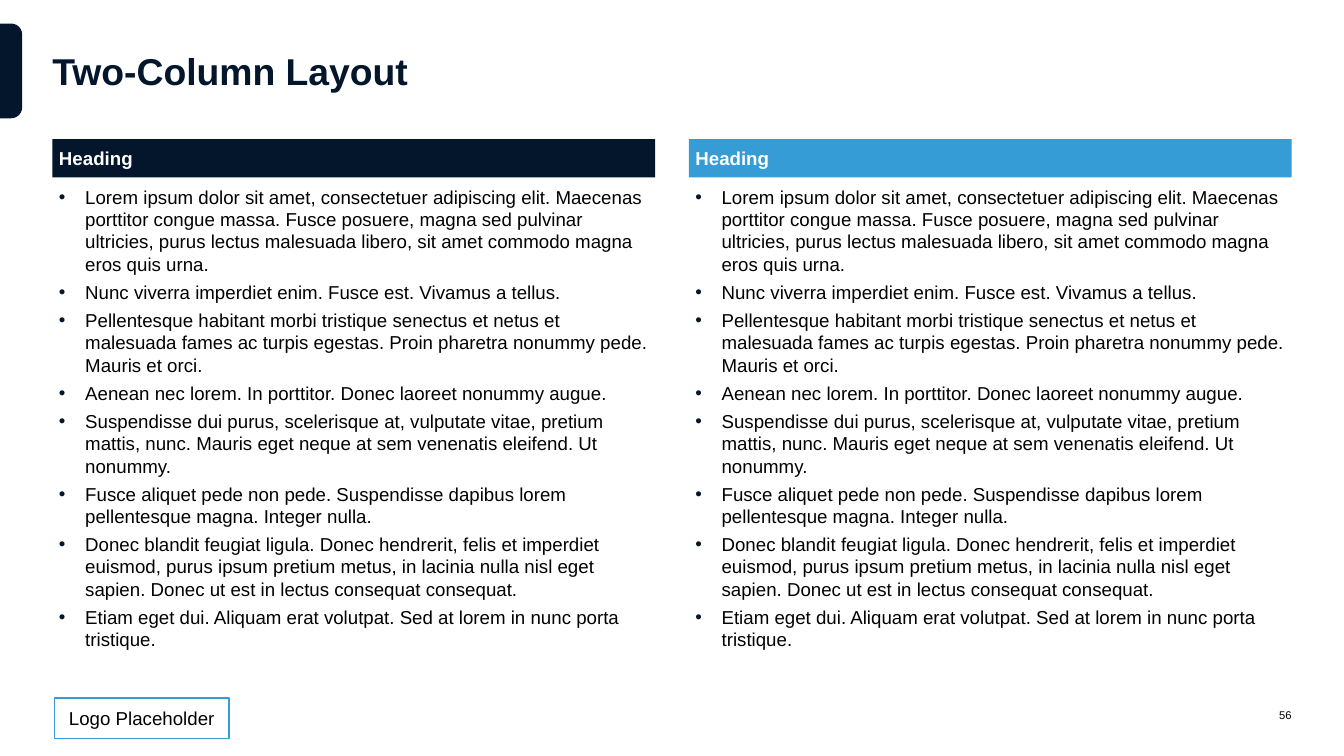
"""Build a two-column text slide with coloured headings and bulleted bodies."""
import dataclasses
import typing

import pptx
import pptx.dml.color
import pptx.enum.shapes
import pptx.enum.text
import pptx.oxml
import pptx.oxml.ns
import pptx.util

Inches = pptx.util.Inches
Pt = pptx.util.Pt
Shapes = pptx.enum.shapes.MSO_SHAPE
Align = pptx.enum.text.PP_ALIGN
Anchor = pptx.enum.text.MSO_ANCHOR


@dataclasses.dataclass(frozen=True)
class Theme:
    font: str = "Arial"
    navy: str = "04162B"
    blue: str = "359CD5"
    white: str = "FFFFFF"
    black: str = "000000"
    title_size: int = 40
    body_size: int = 20
    number_size: int = 12


class Box(typing.NamedTuple):
    left: float
    top: float
    width: float
    height: float

    def lengths(self) -> list:
        return [Inches(value) for value in self]


class Column(typing.NamedTuple):
    heading: str
    color: str
    bullets: tuple


THEME = Theme()
MARGIN = 0.78
COLUMN_WIDTH = 8.97
COLUMN_GAP = 0.5
HEADING_TOP = 2.07
HEADING_HEIGHT = 0.57
BODY_HEIGHT = 7.46
BULLET_INDENT = 0.39

BULLETS = (
    "Lorem ipsum dolor sit amet, consectetuer adipiscing elit. Maecenas porttitor congue massa. "
    "Fusce posuere, magna sed pulvinar ultricies, purus lectus malesuada libero, "
    "sit amet commodo magna eros quis urna.",
    "Nunc viverra imperdiet enim. Fusce est. Vivamus a tellus.",
    "Pellentesque habitant morbi tristique senectus et netus et malesuada fames ac turpis egestas. "
    "Proin pharetra nonummy pede. Mauris et orci.",
    "Aenean nec lorem. In porttitor. Donec laoreet nonummy augue.",
    "Suspendisse dui purus, scelerisque at, vulputate vitae, pretium mattis, nunc. "
    "Mauris eget neque at sem venenatis eleifend. Ut nonummy.",
    "Fusce aliquet pede non pede. Suspendisse dapibus lorem pellentesque magna. Integer nulla.",
    "Donec blandit feugiat ligula. Donec hendrerit, felis et imperdiet euismod, purus ipsum "
    "pretium metus, in lacinia nulla nisl eget sapien. Donec ut est in lectus consequat consequat.",
    "Etiam eget dui. Aliquam erat volutpat. Sed at lorem in nunc porta tristique.",
)
COLUMNS = (
    Column("Heading", THEME.navy, BULLETS),
    Column("Heading", THEME.blue, BULLETS),
)


def rgb(color: str) -> pptx.dml.color.RGBColor:
    return pptx.dml.color.RGBColor.from_string(color)


def apply_format(target: typing.Any, values: dict) -> None:
    for name, value in values.items():
        setattr(target, name, value)


def format_font(paragraph, size: int, color: str, bold: bool = False) -> None:
    for run in paragraph.runs:
        apply_format(run.font, {"name": THEME.font, "size": Pt(size), "bold": bold})
        run.font.color.rgb = rgb(color)


def format_frame(shape, anchor, horizontal: float, vertical: float) -> None:
    apply_format(shape.text_frame, {
        "word_wrap": True,
        "auto_size": pptx.enum.text.MSO_AUTO_SIZE.NONE,
        "vertical_anchor": anchor,
        "margin_left": Inches(horizontal),
        "margin_right": Inches(horizontal),
        "margin_top": Inches(vertical),
        "margin_bottom": Inches(vertical),
    })


def write_line(shape, text: str, size: int, color: str, align, bold: bool = False) -> None:
    paragraph = shape.text_frame.paragraphs[0]
    paragraph.text = text
    paragraph.alignment = align
    format_font(paragraph, size, color, bold)


def add_panel(slide, kind, box: Box, fill: str):
    shape = slide.shapes.add_shape(kind, *box.lengths())
    shape.shadow.inherit = False
    shape.fill.solid()
    shape.fill.fore_color.rgb = rgb(fill)
    shape.line.fill.background()
    return shape


def add_bullet(paragraph) -> None:
    properties = paragraph._p.get_or_add_pPr()
    properties.set("marL", str(Inches(BULLET_INDENT)))
    properties.set("indent", str(-Inches(BULLET_INDENT)))
    namespace = pptx.oxml.ns.nsdecls("a")
    for markup in (
        f'<a:buClr {namespace}><a:srgbClr val="{THEME.navy}"/></a:buClr>',
        f'<a:buFont {namespace} typeface="{THEME.font}"/>',
        f'<a:buChar {namespace} char="•"/>',
    ):
        properties.append(pptx.oxml.parse_xml(markup))


def add_column(slide, column: Column, left: float) -> None:
    heading_box = Box(left, HEADING_TOP, COLUMN_WIDTH, HEADING_HEIGHT)
    heading = add_panel(slide, Shapes.RECTANGLE, heading_box, column.color)
    format_frame(heading, Anchor.MIDDLE, 0.1, 0.04)
    write_line(heading, column.heading, THEME.body_size, THEME.white, Align.LEFT, True)

    body_box = Box(left, HEADING_TOP + HEADING_HEIGHT, COLUMN_WIDTH, BODY_HEIGHT)
    body = slide.shapes.add_textbox(*body_box.lengths())
    format_frame(body, Anchor.TOP, 0.1, 0.12)
    body.text_frame.text = "\n".join(column.bullets)
    for index, paragraph in enumerate(body.text_frame.paragraphs):
        add_bullet(paragraph)
        apply_format(paragraph, {
            "line_spacing": Pt(24),
            "space_before": Pt(3 if index else 0),
            "space_after": Pt(3),
        })
        format_font(paragraph, THEME.body_size, THEME.black)


def add_title(slide, text: str) -> None:
    title = slide.shapes.title
    box = Box(MARGIN, 0.35, 18.44, 1.39)
    apply_format(title, dict(zip(("left", "top", "width", "height"), box.lengths())))
    format_frame(title, Anchor.MIDDLE, 0, 0)
    write_line(title, text, THEME.title_size, THEME.navy, Align.LEFT, True)


def add_side_tab(slide) -> None:
    tab = add_panel(slide, Shapes.ROUND_2_SAME_RECTANGLE, Box(-0.54, 0.89, 1.41, 0.33), THEME.navy)
    tab.rotation = 90
    tab.adjustments[0] = 0.5


def add_footer(slide) -> None:
    logo = add_panel(slide, Shapes.ROUNDED_RECTANGLE, Box(0.81, 10.39, 2.6, 0.6), THEME.white)
    logo.adjustments[0] = 0
    logo.line.color.rgb = rgb(THEME.blue)
    logo.line.width = Pt(1.5)
    format_frame(logo, Anchor.MIDDLE, 0.1, 0.05)
    write_line(logo, "Logo Placeholder", THEME.body_size, THEME.black, Align.CENTER)

    number = slide.shapes.add_textbox(*Box(18.34, 10.39, 0.88, 0.51).lengths())
    format_frame(number, Anchor.MIDDLE, 0, 0)
    write_line(number, "56", THEME.number_size, THEME.black, Align.RIGHT)


def main() -> None:
    presentation = pptx.Presentation()
    apply_format(presentation, {"slide_width": Inches(20), "slide_height": Inches(11.25)})
    slide = presentation.slides.add_slide(presentation.slide_layouts.get_by_name("Title Only"))
    add_side_tab(slide)
    add_title(slide, "Two-Column Layout")
    for index, column in enumerate(COLUMNS):
        add_column(slide, column, MARGIN + index * (COLUMN_WIDTH + COLUMN_GAP))
    add_footer(slide)
    presentation.save("out.pptx")


if __name__ == "__main__":
    main()
